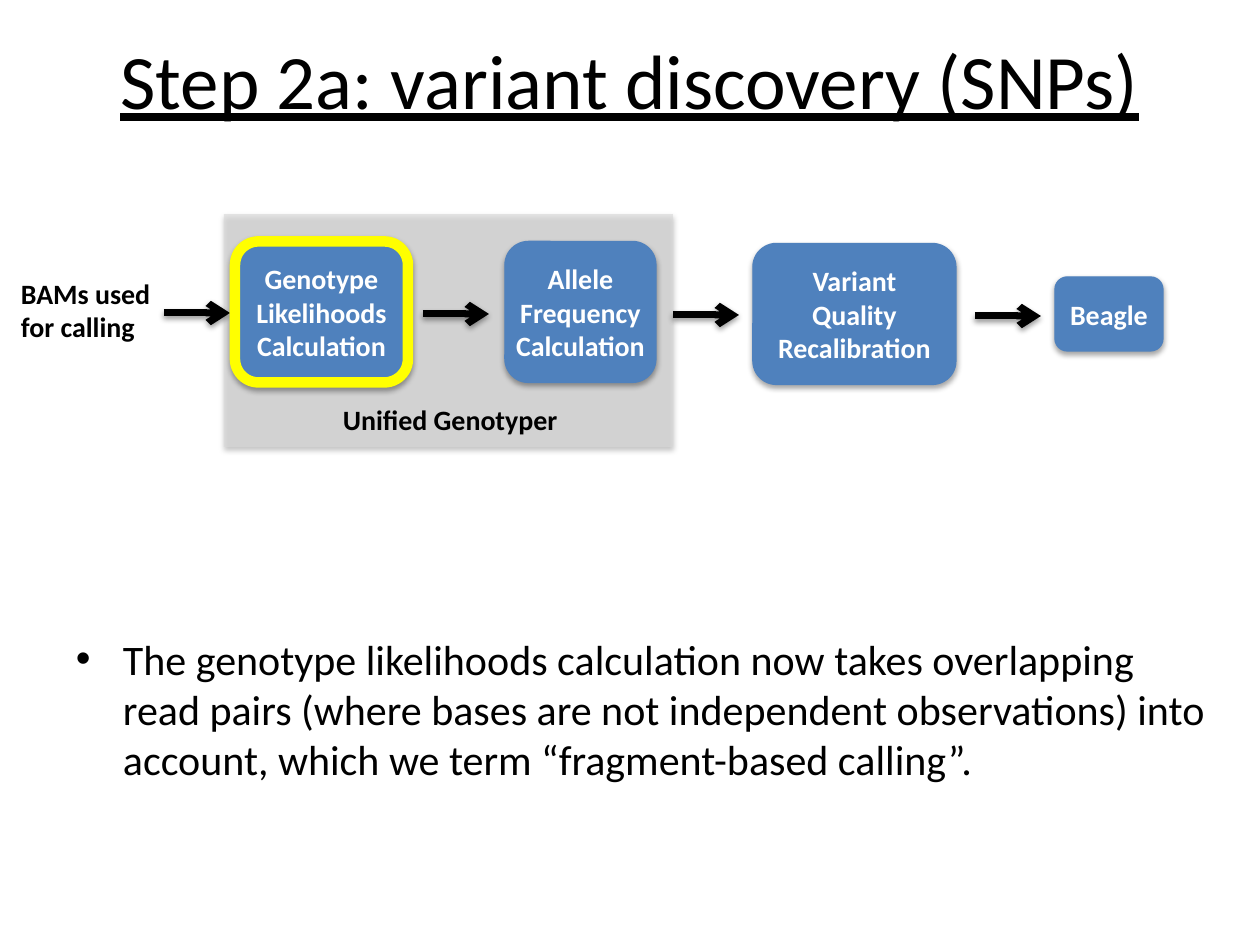
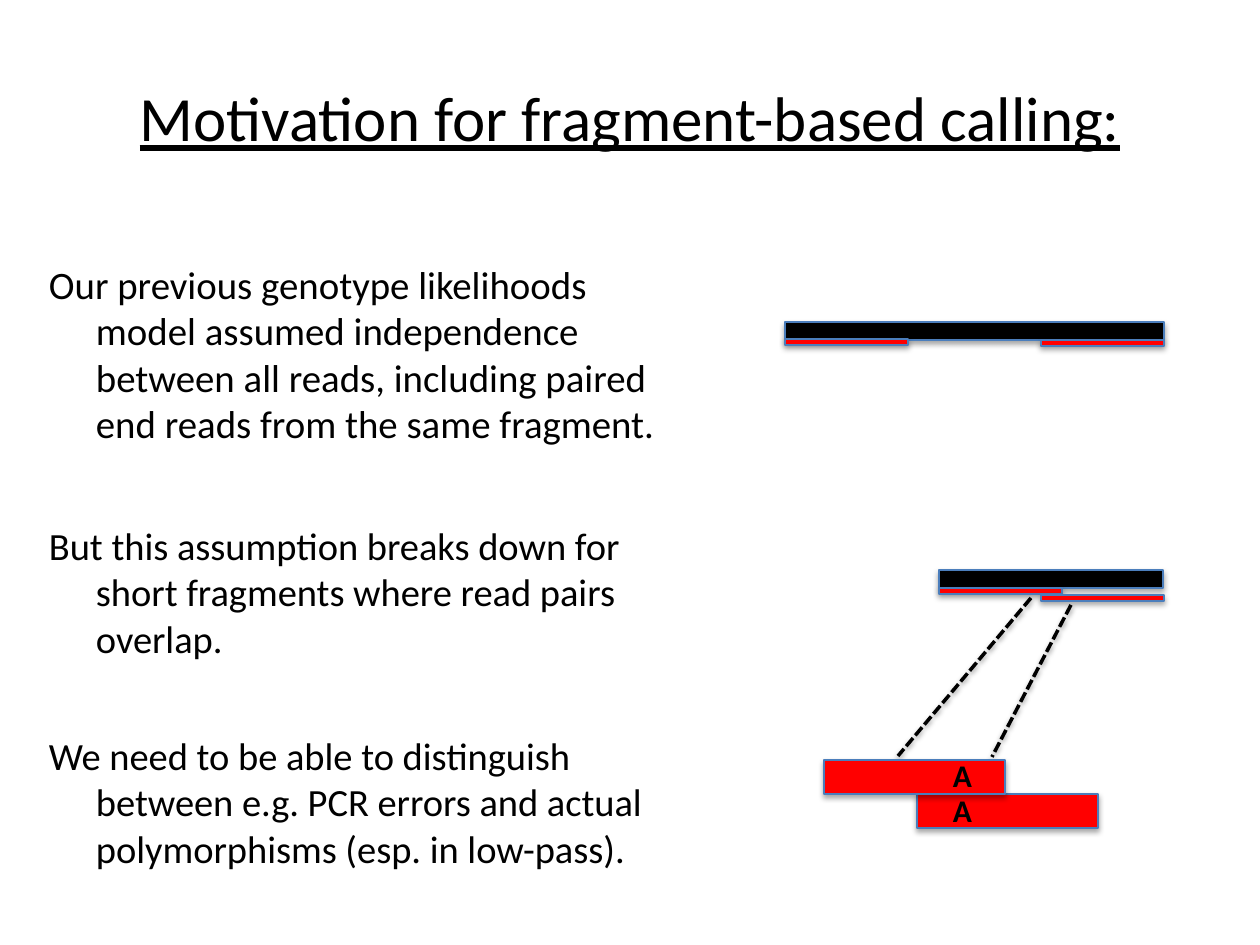
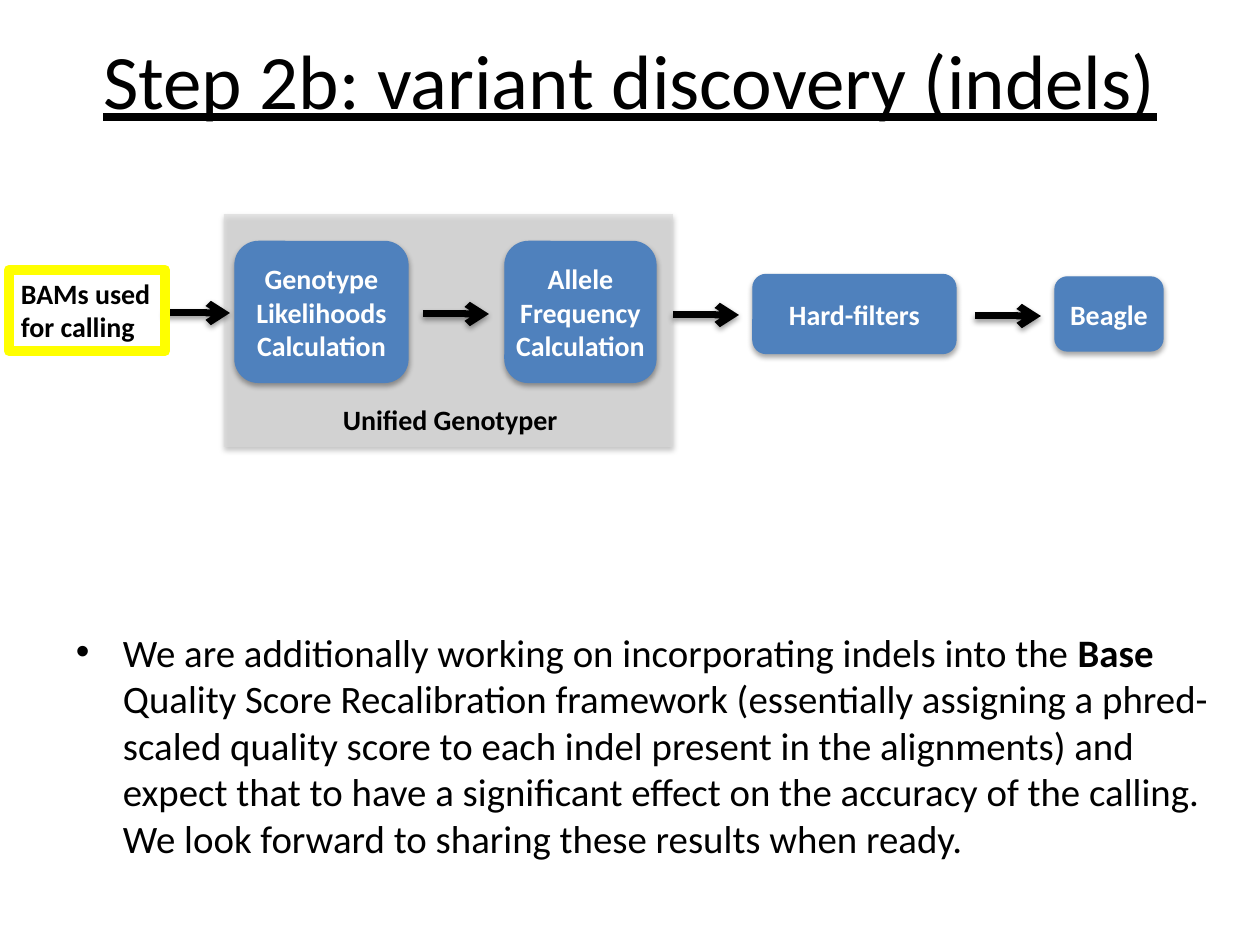
import pptx
import pptx.util
import pptx.dml.color
import pptx.enum.dml
import pptx.enum.shapes
import pptx.enum.text
import pptx.oxml
import pptx.oxml.ns

PX = 914400 // 126
FONT = "Calibri"
HUE = {"ink": "000000", "white": "FFFFFF", "band": "D9D9D9", "step": "4F81BD",
       "mark": "FFFF00", "read": "FF0000", "edge": "4B7EBC"}
NS = pptx.oxml.ns.nsdecls("a")
KIND = pptx.enum.shapes.MSO_SHAPE
ALIGN = pptx.enum.text.PP_ALIGN
ANCHOR = pptx.enum.text.MSO_ANCHOR
HANG = 47


def emu(*nums):
    return [pptx.util.Emu(round(n * PX)) for n in nums]


def rgb(name):
    return pptx.dml.color.RGBColor.from_string(HUE[name])


def shade(part, alpha, dist):
    """Soft shadow straight below a shape or line."""
    part._element.spPr.append(pptx.oxml.parse_xml(
        f'<a:effectLst {NS}><a:outerShdw blurRad="40000" dist="{dist}" dir="5400000" '
        f'rotWithShape="0"><a:srgbClr val="{HUE["ink"]}"><a:alpha val="{alpha}"/>'
        '</a:srgbClr></a:outerShdw></a:effectLst>'))


def write(part, paras, size, hue="ink", align=ALIGN.LEFT, anchor=ANCHOR.TOP,
          wrap=True, side=13, bold=False, under=False, hang=False, dot=False):
    """Fill a part with paragraphs, each a list of (text, bold) runs or a string."""
    frame = part.text_frame
    look = {"word_wrap": wrap, "vertical_anchor": anchor,
            "margin_left": emu(side)[0], "margin_right": emu(side)[0]}
    for key, val in look.items():
        setattr(frame, key, val)
    for i, runs in enumerate(paras):
        para = frame.paragraphs[0] if i == 0 else frame.add_paragraph()
        para.alignment = align
        if hang:
            props = para._p.get_or_add_pPr()
            props.set("marL", str(HANG * PX))
            props.set("indent", str(-HANG * PX))
            if dot:
                props.append(pptx.oxml.parse_xml(f'<a:buFont {NS} typeface="Arial"/>'))
                props.append(pptx.oxml.parse_xml(f'<a:buChar {NS} char="•"/>'))
        for text, strong in [(runs, bold)] if isinstance(runs, str) else runs:
            run = para.add_run()
            run.text = text
            style = {"name": FONT, "size": pptx.util.Pt(size),
                     "bold": strong, "underline": under}
            for key, val in style.items():
                setattr(run.font, key, val)
            run.font.color.rgb = rgb(hue)


def label(slide, box, paras, size, **style):
    part = slide.shapes.add_textbox(*emu(*box))
    write(part, paras, size, **style)
    return part


def block(slide, box, fill, edge=None, width=0.75, kind=KIND.RECTANGLE):
    part = slide.shapes.add_shape(kind, *emu(*box))
    part.fill.solid()
    part.fill.fore_color.rgb = rgb(fill)
    if edge:
        part.line.color.rgb = rgb(edge)
        part.line.width = pptx.util.Pt(width)
    else:
        part.line.fill.background()
    shade(part, 35000, 23000)
    return part


def stroke(slide, ends, width, dash=None, head=False):
    line = slide.shapes.add_connector(pptx.enum.shapes.MSO_CONNECTOR.STRAIGHT, *emu(*ends))
    line.line.color.rgb = rgb("ink")
    line.line.width = pptx.util.Pt(width)
    if dash:
        line.line.dash_style = dash
    if head:
        line.line._get_or_add_ln().append(
            pptx.oxml.parse_xml(f'<a:tailEnd {NS} type="arrow"/>'))
    shade(line, 38000, 20000)


def title(slide, text, top, size):
    label(slide, (63, top, 1134, 157), [text], size, align=ALIGN.CENTER,
          anchor=ANCHOR.MIDDLE, under=True)


def flow(slide, box, third, tall, mark):
    """Calling pipeline; mark names the highlighted stage."""
    left, top = box
    # Band behind the genotyper steps
    band = block(slide, (left + 214, top, 449, 233), "band")
    band.fill._xPr.find(".//" + pptx.oxml.ns.qn("a:srgbClr")).append(
        pptx.oxml.parse_xml(f'<a:alpha {NS} val="65000"/>'))
    label(slide, (left + 320, top + 182, 243, 47), ["Unified Genotyper"], 16,
          bold=True, wrap=False)
    # Arrows between the stages
    for x, y in ((154, 99), (413, 100), (663, 101), (965, 102)):
        stroke(slide, (left + x, top + y, left + x + 66, top + y), 4, head=True)
    # Input files
    bams = label(slide, (left - 1, top + 56, 156, 81), ["BAMs used", "for calling"], 16,
                 bold=True, side=12)
    if mark == "bams":
        bams.line.color.rgb = rgb("mark")
        bams.line.width = pptx.util.Pt(6)
    # Steps: name, left, width, height, middle, side margin, text
    steps = (("likely", 225, 173, 141, 98, 13, ["Genotype Likelihoods", "Calculation"]),
             ("allele", 495, 151, 141, 98, 0, ["Allele Frequency", "Calculation"]),
             ("third", 743, 203, tall, 100, 13, [third]),
             ("beagle", 1045, 108, 74, 100, 0, ["Beagle"]))
    for name, x, wide, high, mid, side, text in steps:
        edge, width = ("mark", 6) if name == mark else ("step", 0.75)
        step = block(slide, (left + x, top + mid - high / 2, wide, high),
                     "step", edge, width, KIND.ROUNDED_RECTANGLE)
        write(step, text, 16, "white", ALIGN.CENTER, ANCHOR.MIDDLE, side=side, bold=True)


def stage(deck, head, third, tall, mark, note, size, top):
    """Slide with the pipeline and one bulleted note."""
    slide = deck.slides.add_slide(deck.slide_layouts[6])
    title(slide, head, 0, 44)
    flow(slide, (10, 214), third, tall, mark)
    label(slide, (63, top, 1168, 220), [note], size, hang=True, dot=True)


def strand(slide, box, reads):
    """Black fragment with red reads, placed by offsets, under it."""
    left, top, wide = box
    block(slide, (left, top, wide, 18), "ink", "edge")
    for x, y in reads:
        block(slide, (left + x, top + y, 123, 6), "read", "edge")


def zoom(slide, box):
    """Enlarged overlap of two reads that share a base."""
    left, top = box
    for ends in ((207, 0, 74, 158), (247, 7, 168, 159)):
        stroke(slide, [n + (left, top)[i % 2] for i, n in enumerate(ends)], 2,
               pptx.enum.dml.MSO_LINE.SQUARE_DOT)
    for x, y in ((93, 196), (0, 162)):
        block(slide, (left + x, top + y, 181, 34), "read", "edge")
    for y in (152, 187):
        label(slide, (left + 116, top + y, 45, 50), ["A"], 18, bold=True, wrap=False)


def reason(deck):
    """Slide that argues for fragment-based calling."""
    slide = deck.slides.add_slide(deck.slide_layouts[6])
    title(slide, "Motivation for fragment-based calling:", 38, 36)
    points = (
        (254, 659, 22.2, "Our previous genotype likelihoods model assumed independence "
         "between all reads, including paired end reads from the same fragment."),
        (516, 633, 22, "But this assumption breaks down for short fragments where "
         "read pairs overlap."),
        (726, 633, 22, "We need to be able to distinguish between e.g. PCR errors and "
         "actual polymorphisms (esp. in low-pass)."))
    for top, wide, size, text in points:
        label(slide, (36, top, wide, 158), [text], size, hang=True)
    strand(slide, (785, 322, 379), ((0, 17), (256, 18)))
    strand(slide, (939, 570, 224), ((0, 18), (102, 25)))
    zoom(slide, (824, 598))


def main():
    deck = pptx.Presentation()
    deck.slide_width, deck.slide_height = emu(1260, 945)
    stage(deck, "Step 2a: variant discovery (SNPs)", "Variant Quality Recalibration", 141,
          "likely",
          "The genotype likelihoods calculation now takes overlapping read pairs (where "
          "bases are not independent observations) into account, which we term "
          "“fragment-based calling”.", 24, 627)
    reason(deck)
    stage(deck, "Step 2b: variant discovery (indels)", "Hard-filters", 79, "bams",
          [("We are additionally working on incorporating indels into the ", False),
           ("Base", True),
           (" Quality Score Recalibration framework (essentially assigning a phred-scaled "
            "quality score to each indel present in the alignments) and expect that to have "
            "a significant effect on the accuracy of the calling. We look forward to sharing "
            "these results when ready.", False)], 22.2, 622)
    deck.save("out.pptx")


if __name__ == "__main__":
    main()
